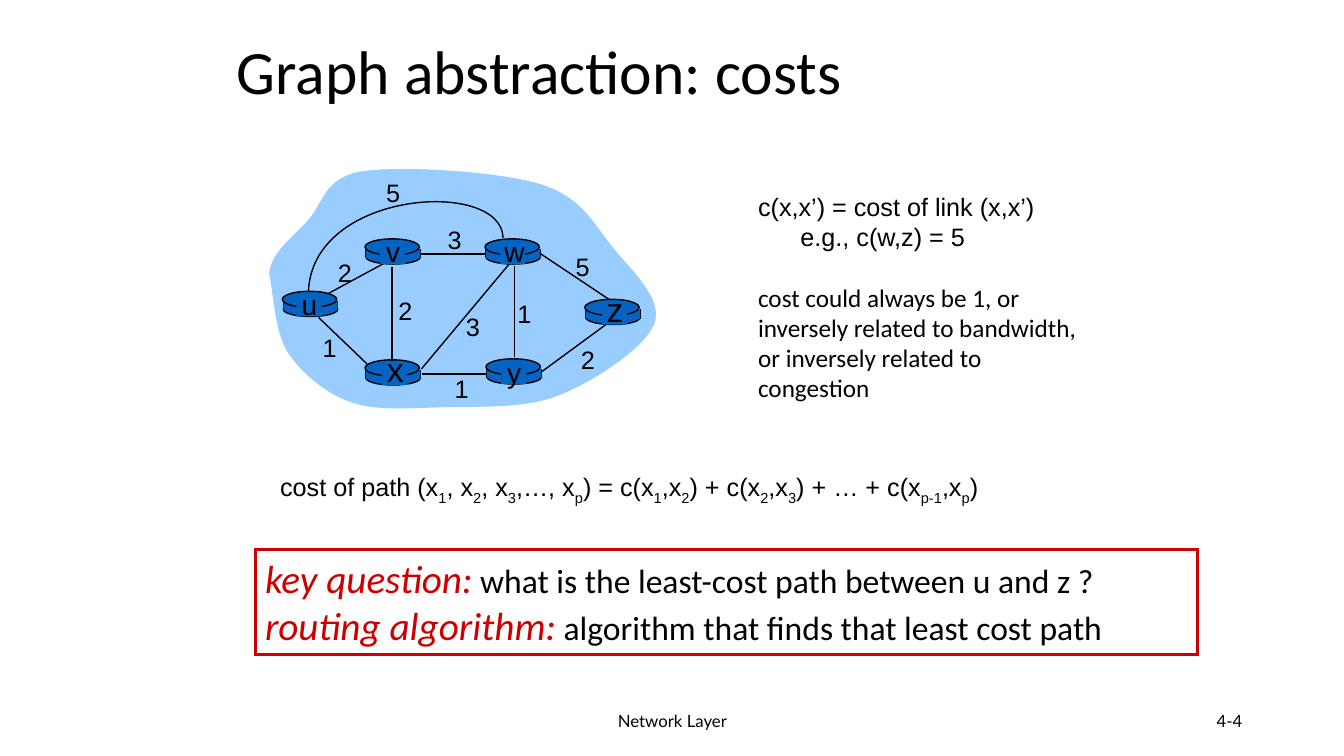
from lxml import etree
from pptx import Presentation
from pptx.dml.color import RGBColor
from pptx.enum.shapes import MSO_CONNECTOR, MSO_SHAPE
from pptx.enum.text import MSO_ANCHOR, PP_ALIGN
from pptx.oxml.ns import qn
from pptx.util import Inches, Pt

BLACK, RED, ROUTER, CLOUD = "000000", "CC0000", "0563C1", "99CCFF"

# Router name: left and top of its cylinder, label centre, label size
ROUTERS = {
    "u": (2.8, 2.89, 3.07, 3.02, 20), "x": (3.62, 3.57, 3.92, 3.66, 24),
    "v": (3.62, 2.37, 3.9, 2.49, 20), "w": (4.81, 2.37, 5.09, 2.49, 20),
    "y": (4.82, 3.56, 5.1, 3.69, 20), "z": (5.8, 2.97, 6.1, 3.07, 24),
}
# Straight links: start x, y, end x, y, then cost with its box left and top
LINKS = [
    (3.26, 2.91, 3.85, 2.59, "2", 3.25, 2.5),
    (5.1, 2.64, 5.1, 3.54, "1", 5.03, 2.91),
    (3.89, 2.65, 3.89, 3.58, "2", 3.85, 2.88),
    (4.18, 3.66, 5.05, 2.62, "3", 4.52, 3.04),
    (5.37, 3.69, 6.01, 3.22, "2", 5.66, 3.37),
    (4.82, 3.71, 4.19, 3.71, "1", 4.41, 3.65),
    (3.64, 3.61, 3.16, 3.15, "1", 3.1, 3.25),
    (4.81, 2.52, 4.18, 2.52, "3", 4.34, 2.18),
    (6.04, 2.97, 5.35, 2.51, "5", 5.61, 2.44),
]
# Curves: first point, then two controls and an end per segment
CLOUD_CURVE = [
    (2.67, 2.72), (2.68, 2.51), (2.9, 2.36), (3.05, 2.19),
    (3.21, 2.02), (3.21, 1.76), (3.59, 1.7), (3.98, 1.64), (4.95, 1.7), (5.37, 1.83),
    (5.78, 1.96), (5.9, 2.24), (6.09, 2.47), (6.28, 2.7), (6.58, 2.97), (6.49, 3.21),
    (6.4, 3.45), (5.9, 3.78), (5.55, 3.92), (5.2, 4.06), (4.74, 4.03), (4.4, 4.04),
    (4.05, 4.05), (3.74, 4.08), (3.48, 3.99), (3.22, 3.9), (2.99, 3.7), (2.85, 3.49),
    (2.72, 3.28), (2.71, 2.88), (2.67, 2.72),
]
UW_CURVE = [(4.99, 2.36), (4.98, 1.77), (3.1, 1.88), (3.06, 2.89)]


def rgb(color):
    return RGBColor.from_string(color)


def paint(sp, fill=None, line=None, width=1):
    sp.shadow.inherit = False
    if fill:
        sp.fill.solid()
        sp.fill.fore_color.rgb = rgb(fill)
    else:
        sp.fill.background()
    if line:
        sp.line.color.rgb = rgb(line)
        sp.line.width = Pt(width)
    else:
        sp.line.fill.background()


def add_shape(s, kind, x, y, w, h, **style):
    sp = s.shapes.add_shape(kind, Inches(x), Inches(y), Inches(w), Inches(h))
    paint(sp, **style)
    return sp


def add_line(s, x1, y1, x2, y2):
    c = s.shapes.add_connector(MSO_CONNECTOR.STRAIGHT, *map(Inches, (x1, y1, x2, y2)))
    c.line.color.rgb = rgb(BLACK)
    c.line.width = Pt(1)
    etree.SubElement(c._element.spPr, qn("a:effectLst"))


def add_curve(s, pts, closed, **style):
    start, *rest = [tuple(map(Inches, pt)) for pt in pts]
    fb = s.shapes.build_freeform(*start)
    fb.add_line_segments(rest, close=closed)
    sp = fb.convert_to_shape()
    # Every three line points become one cubic segment
    lines = list(sp._element.iter(qn("a:lnTo")))
    for i in range(0, len(rest), 3):
        bez = etree.Element(qn("a:cubicBezTo"))
        lines[i].addprevious(bez)
        for ln in lines[i:i + 3]:
            bez.append(ln[0])
            ln.getparent().remove(ln)
    paint(sp, **style)


def add_run(p, text, color=BLACK, base=None, **fmt):
    r = p.add_run()
    r.text = text
    for name, value in fmt.items():
        setattr(r.font, name, Pt(value) if name == "size" else value)
    r.font.color.rgb = rgb(color)
    if base:
        r.font._element.set("baseline", str(base))


def add_text(s, x, y, w, h, text, align=PP_ALIGN.LEFT, wrap=True,
             anchor=MSO_ANCHOR.TOP, **fmt):
    tf = s.shapes.add_textbox(Inches(x), Inches(y), Inches(w), Inches(h)).text_frame
    tf.word_wrap = wrap
    tf.vertical_anchor = anchor
    for i, line in enumerate(text.split("\n")):
        p = tf.add_paragraph() if i else tf.paragraphs[0]
        p.alignment = align
        if line:
            add_run(p, line, **fmt)
    return tf


def add_cylinder(s, x, y):
    add_shape(s, MSO_SHAPE.OVAL, x + 0.01, y + 0.11, 0.54, 0.14, fill=ROUTER, line=BLACK)
    for side in (x + 0.01, x + 0.55):
        add_line(s, side, y + 0.1, side, y + 0.19)
    add_shape(s, MSO_SHAPE.RECTANGLE, x + 0.01, y + 0.1, 0.54, 0.09, fill=ROUTER)
    add_shape(s, MSO_SHAPE.OVAL, x, y, 0.54, 0.16, fill=ROUTER, line=BLACK)


def add_label(s, name, top, cx, cy, size):
    add_shape(s, MSO_SHAPE.RECTANGLE, cx - 0.13, top + 0.02, 0.25, 0.23, fill=ROUTER)
    w, h = 0.37, 0.5 if size == 24 else 0.43
    add_text(s, cx - w / 2, cy - h / 2, w, h, name, align=PP_ALIGN.CENTER,
             wrap=False, name="Arial", size=size)


def add_cost(s, cost, x, y):
    add_text(s, x, y, 0.34, 0.4, cost, align=PP_ALIGN.CENTER, wrap=False,
             name="Arial", size=18)


def add_graph(s):
    g = s.shapes.add_group_shape()
    add_curve(g, CLOUD_CURVE, True, fill=CLOUD)
    # The first link runs behind the routers
    add_line(g, *LINKS[0][:4])
    for x, y, *_ in ROUTERS.values():
        add_cylinder(g, x, y)
    for link in LINKS[1:]:
        add_line(g, *link[:4])
    add_curve(g, UW_CURVE, False, line=BLACK)
    for name, (_, top, cx, cy, size) in ROUTERS.items():
        add_label(g, name, top, cx, cy, size)
    for link in LINKS:
        add_cost(g, *link[4:])
    add_cost(g, "5", 3.73, 1.71)


def add_title(s, text):
    sp = s.shapes.title
    sp.left, sp.top, sp.width, sp.height = map(Inches, (2.25, 0.24, 8.5, 0.99))
    sp.text_frame.vertical_anchor = MSO_ANCHOR.MIDDLE
    p = sp.text_frame.paragraphs[0]
    p.alignment = PP_ALIGN.LEFT
    p.line_spacing = 0.9
    add_run(p, text, name="Calibri", size=44)


def add_link_cost_notes(s):
    tf = add_text(s, 7.42, 1.85, 3.61, 2.22,
                  "c(x,x’) = cost of link (x,x’)\ne.g., c(w,z) = 5", name="Arial", size=18)
    tf.paragraphs[1]._p.get_or_add_pPr().set("marL", str(Inches(0.42)))
    for i, line in enumerate(("cost could always be 1, or", "inversely related to bandwidth,",
                              "or inversely related to", "congestion")):
        p = tf.add_paragraph()
        p.space_before = Pt(0 if i else 21.5)
        add_run(p, line, name="Calibri", size=18)


def add_path_cost(s):
    # Every second piece is a subscript
    pieces = ("cost of path (x|1|, x|2|, x|3|,…, x|p|) = c(x|1|,x|2|) + c(x|2|,x|3"
              "|) + … + c(x|p-1|,x|p|)").split("|")
    p = add_text(s, 2.68, 4.63, 7.39, 0.4, "").paragraphs[0]
    for i, piece in enumerate(pieces):
        add_run(p, piece, base=-25000 if i % 2 else None, name="Arial", size=18)


def add_key_box(s):
    sp = add_shape(s, MSO_SHAPE.RECTANGLE, 2.53, 5.45, 9.35, 1.04, line=RED, width=2.25)
    etree.SubElement(sp.line._get_or_add_ln(), qn("a:miter")).set("lim", "800000")
    tf = sp.text_frame
    tf.word_wrap = True
    tf.vertical_anchor = MSO_ANCHOR.TOP
    rows = [("key question:", " what is the least-cost path between u and z ?"),
            ("routing algorithm:", " algorithm that finds that least cost path")]
    for i, (term, meaning) in enumerate(rows):
        p = tf.add_paragraph() if i else tf.paragraphs[0]
        p.alignment = PP_ALIGN.LEFT
        add_run(p, term, color=RED, name="Calibri", size=28, italic=True)
        add_run(p, meaning, name="Calibri", size=24)


def main():
    prs = Presentation()
    prs.slide_width, prs.slide_height = Inches(13.33), Inches(7.5)
    s = prs.slides.add_slide(prs.slide_layouts[5])
    # Footer
    footer = {"anchor": MSO_ANCHOR.MIDDLE, "name": "Lato", "size": 12}
    add_text(s, 4.42, 6.95, 4.5, 0.4, "Network Layer", align=PP_ALIGN.CENTER, **footer)
    add_text(s, 9.42, 6.95, 3, 0.4, "4-4", align=PP_ALIGN.RIGHT, **footer)
    # Content
    add_title(s, "Graph abstraction: costs")
    add_graph(s)
    add_link_cost_notes(s)
    add_path_cost(s)
    add_key_box(s)
    prs.save("out.pptx")


if __name__ == "__main__":
    main()
